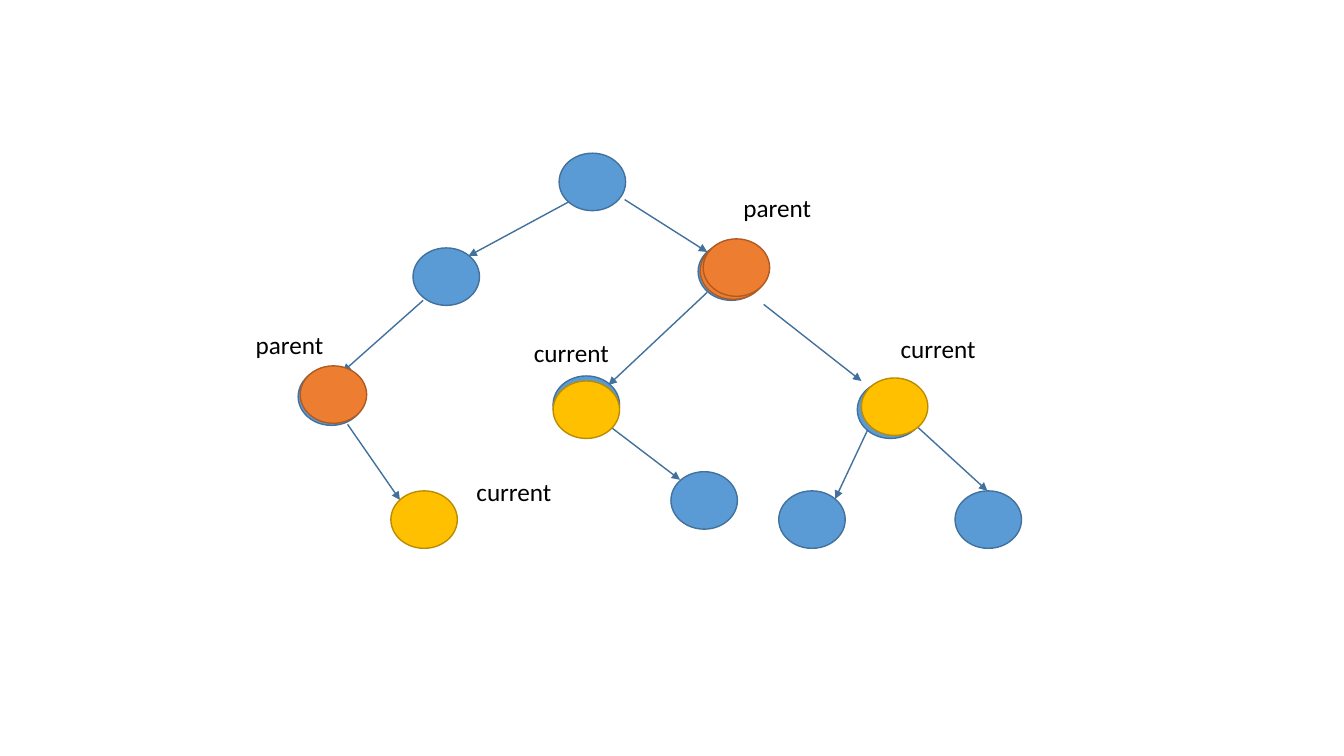
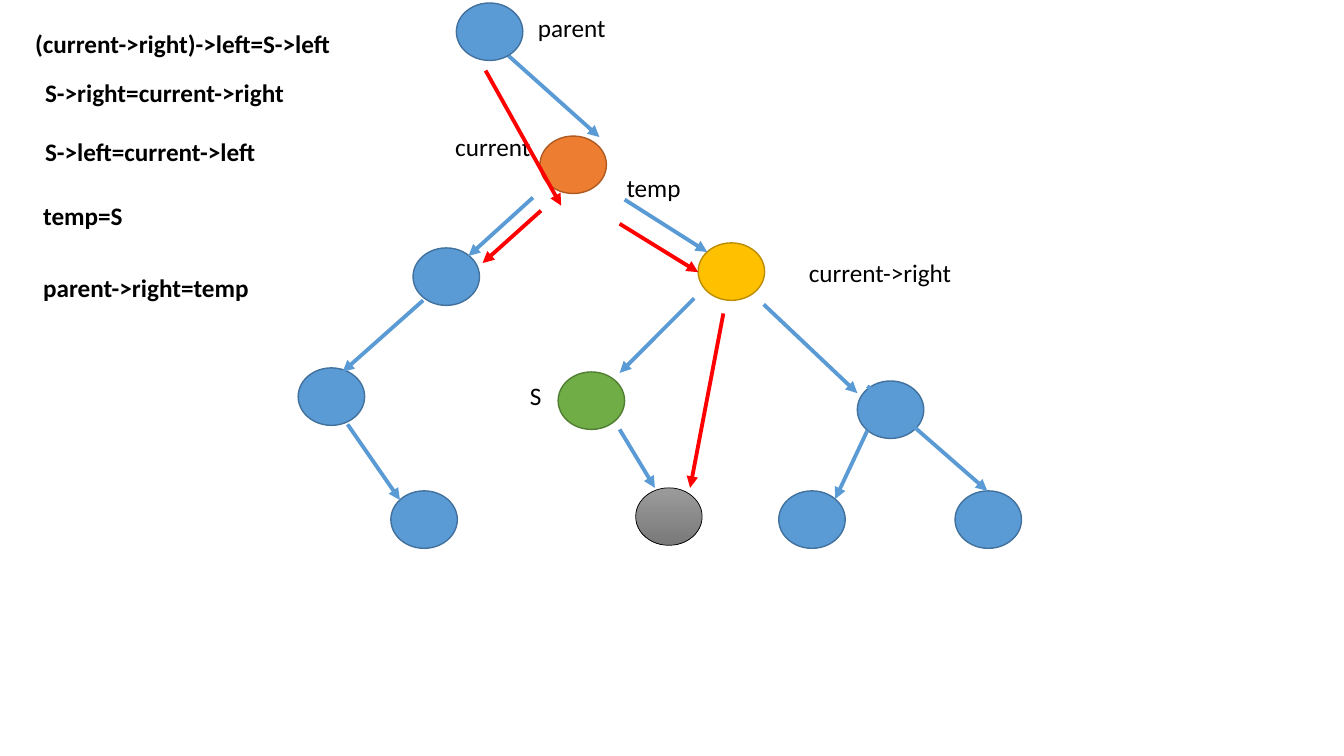
from lxml import etree
from pptx import Presentation
from pptx.dml.color import RGBColor
from pptx.enum import shapes, text
from pptx.oxml.ns import qn
from pptx.util import Inches, Pt

COLOURS = {
    "blue": "5B9BD5", "blue edge": "41719C",
    "orange": "ED7D31", "orange edge": "AE5A21",
    "yellow": "FFC000", "yellow edge": "BC8C00",
    "green": "70AD47", "green edge": "507E32",
    "grey top": "9B9B9B", "grey bottom": "797979",
    "black": "000000", "red": "FF0000",
}
NODE_SIZE = (0.66, 0.57)
LABEL_HEIGHT = 0.4
LABEL_FONT = {"name": "Calibri", "size": Pt(18)}

# Nodes: left, top, colour. Arrows: start, end. Labels: left, top, width, wording.
SHARED_NODES = [
    (4.1, 2.46, "blue"), (2.96, 3.65, "blue"), (8.51, 3.78, "blue"),
    (7.73, 4.87, "blue"), (9.48, 4.87, "blue"),
]
SHARED_ARROWS = [
    ((6.2, 1.98), (7.02, 2.5)), ((4.2, 2.98), (3.4, 3.69)),
    ((8.61, 4.27), (8.29, 4.95)), ((3.45, 4.21), (3.97, 4.96)),
]
SLIDES = [
    {
        "arrow style": ("blue edge", 1),
        "nodes": [(5.55, 1.52, "blue"), (6.93, 2.41, "blue"), (6.66, 4.68, "blue")],
        "arrows": [
            ((5.65, 2), (4.65, 2.54)), ((7.58, 3.02), (8.55, 3.78)),
            ((9.1, 4.23), (9.8, 4.87)), ((7.02, 2.9), (6.04, 3.82)),
            ((6.04, 4.22), (6.75, 4.76)),
        ],
        "front nodes": [
            (5.49, 3.73, "blue"), (3.88, 4.87, "yellow"), (2.98, 3.63, "orange"),
            (5.49, 3.78, "yellow"), (6.95, 2.4, "orange"), (8.55, 3.75, "yellow"),
            (6.98, 2.37, "orange"),
        ],
        "labels": [
            (4.63, 4.68, 1.05, "current"), (2.44, 3.22, 1.33, "parent"),
            (5.2, 3.3, 1.05, "current"), (7.28, 1.86, 1.33, "parent"),
            (8.84, 3.26, 1.05, "current"),
        ],
        "steps": [],
        "new links": [],
    },
    {
        "arrow style": ("blue", 2.75),
        "nodes": [
            (5.36, 1.35, "orange"), (3.88, 4.87, "blue"), (6.93, 2.41, "yellow"),
            (6.31, 4.84, "grey"),
        ],
        "arrows": [
            ((5.29, 1.96), (4.65, 2.54)), ((7.58, 3.02), (8.51, 3.9)),
            ((8.61, 3.83), (9.8, 4.87)), ((6.89, 2.96), (6.15, 3.7)),
            ((6.15, 4.26), (6.5, 4.84)), ((5.01, 0.52), (5.95, 1.36)),
        ],
        "front nodes": [(4.53, 0.03, "blue"), (5.54, 3.69, "green")],
        "labels": [
            (4.42, 1.25, 2.29, "current"), (5.24, 0.07, 2.29, "parent"),
            (7.93, 2.5, 2.29, "current->right"), (5.16, 3.72, 0.39, "S"),
            (6.12, 1.66, 2.29, "temp"),
        ],
        "steps": [
            (0.25, 0.23, 3.64, "(current->right)->left=S->left"),
            (0.35, 0.72, 3.64, "S->right=current->right"),
            (0.35, 1.3, 3.64, "S->left=current->left"),
            (0.33, 1.94, 3.64, "temp=S"),
            (0.33, 2.65, 3.64, "parent->right=temp"),
        ],
        "new links": [
            ((7.18, 3.11), (6.85, 4.84)), ((6.15, 2.22), (6.93, 2.7)),
            ((5.37, 2.09), (4.79, 2.61)), ((4.82, 0.7), (5.57, 2.04)),
        ],
    },
]


def colour(name):
    return RGBColor.from_string(COLOURS[name])


def add_node(page, left, top, name):
    node = page.shapes.add_shape(
        shapes.MSO_SHAPE.OVAL, *map(Inches, (left, top, *NODE_SIZE)))
    node.shadow.inherit = False
    if name == "grey":
        node.fill.gradient()
        node.fill.gradient_angle = 270
        for stop, shade in zip(node.fill.gradient_stops, ("grey top", "grey bottom")):
            stop.color.rgb = colour(shade)
        edge, width = "black", 0.5
    else:
        node.fill.solid()
        node.fill.fore_color.rgb = colour(name)
        edge, width = f"{name} edge", 1
    node.line.color.rgb = colour(edge)
    node.line.width = Pt(width)


def add_arrow(page, start, end, name, width):
    arrow = page.shapes.add_connector(
        shapes.MSO_CONNECTOR.STRAIGHT, *map(Inches, (*start, *end)))
    arrow.line.color.rgb = colour(name)
    arrow.line.width = Pt(width)
    etree.SubElement(arrow.line._get_or_add_ln(), qn("a:tailEnd"), type="triangle")
    etree.SubElement(arrow._element.spPr, qn("a:effectLst"))


def add_label(page, left, top, width, wording, bold=False):
    box = page.shapes.add_textbox(*map(Inches, (left, top, width, LABEL_HEIGHT)))
    box.text_frame.word_wrap = True
    box.text_frame.auto_size = text.MSO_AUTO_SIZE.SHAPE_TO_FIT_TEXT
    span = box.text_frame.paragraphs[0].add_run()
    span.text = wording
    for attribute, value in {**LABEL_FONT, "bold": bold}.items():
        setattr(span.font, attribute, value)
    span.font.color.rgb = colour("black")


def build_slide(deck, content):
    page = deck.slides.add_slide(deck.slide_layouts[6])
    for node in SHARED_NODES + content["nodes"]:
        add_node(page, *node)
    for arrow in SHARED_ARROWS + content["arrows"]:
        add_arrow(page, *arrow, *content["arrow style"])
    for node in content["front nodes"]:
        add_node(page, *node)
    for label in content["labels"]:
        add_label(page, *label)
    for step in content["steps"]:
        add_label(page, *step, bold=True)
    for link in content["new links"]:
        add_arrow(page, *link, "red", 2.75)


def main():
    deck = Presentation()
    deck.slide_width, deck.slide_height = Inches(13.34), Inches(7.5)
    for content in SLIDES:
        build_slide(deck, content)
    deck.save("out.pptx")


if __name__ == "__main__":
    main()
